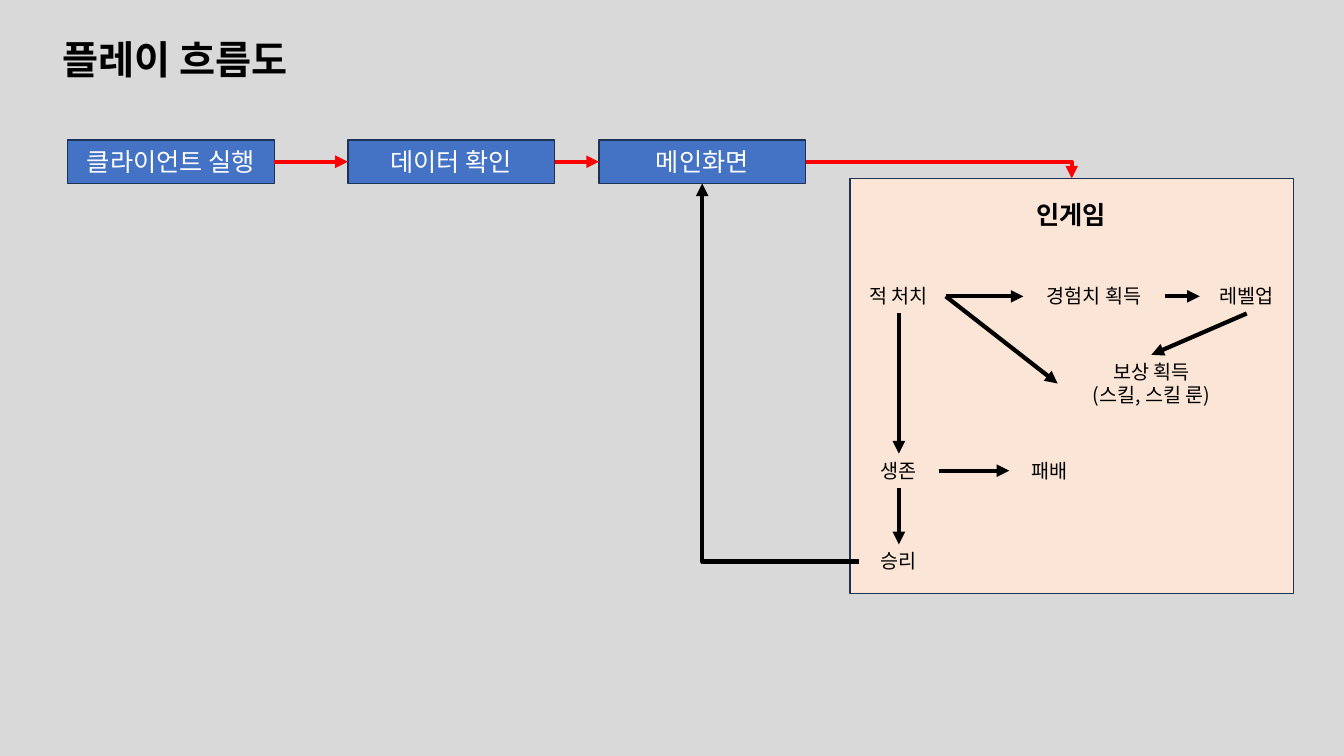
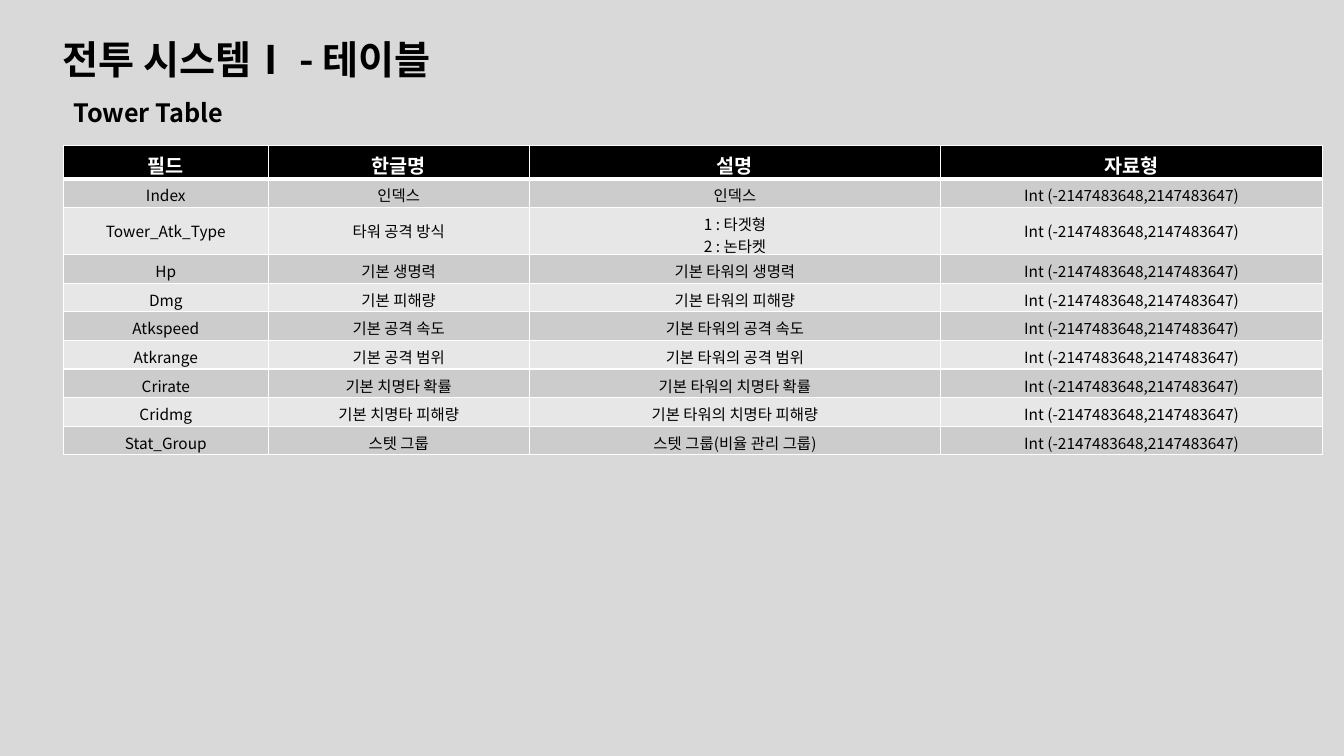
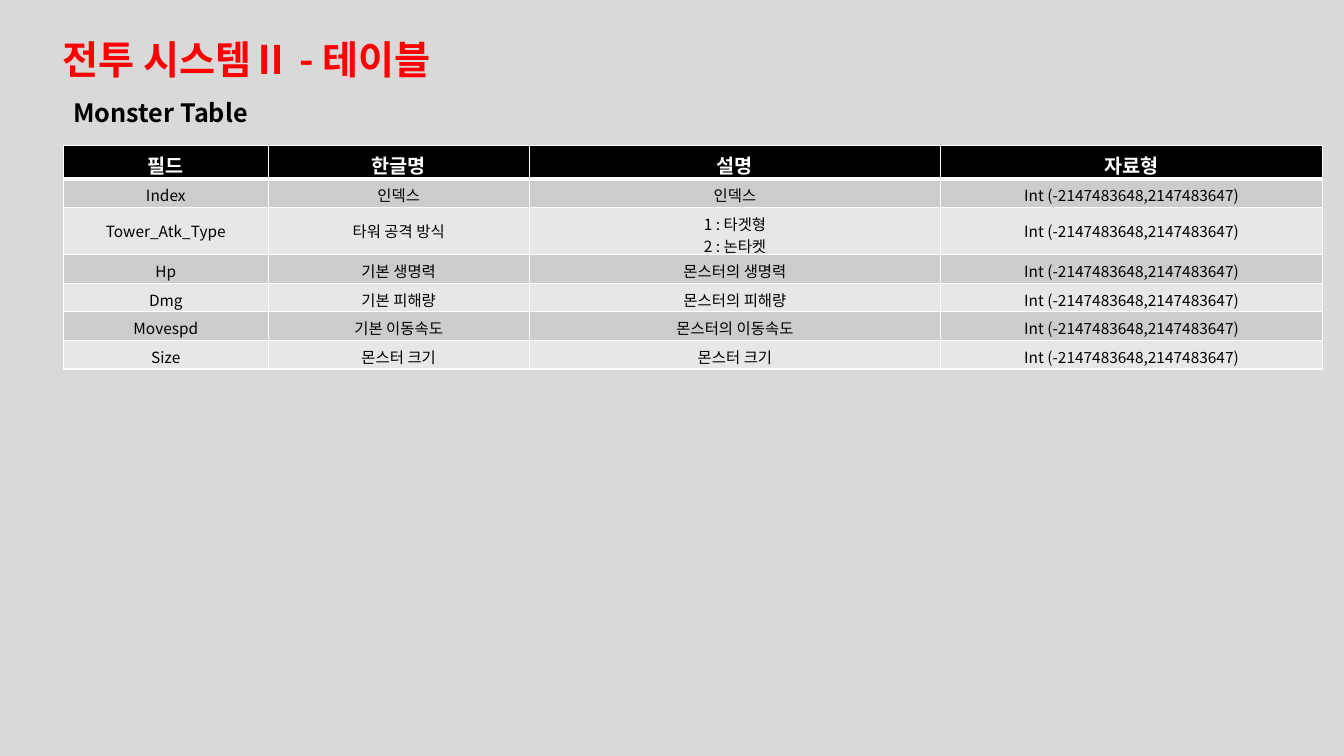
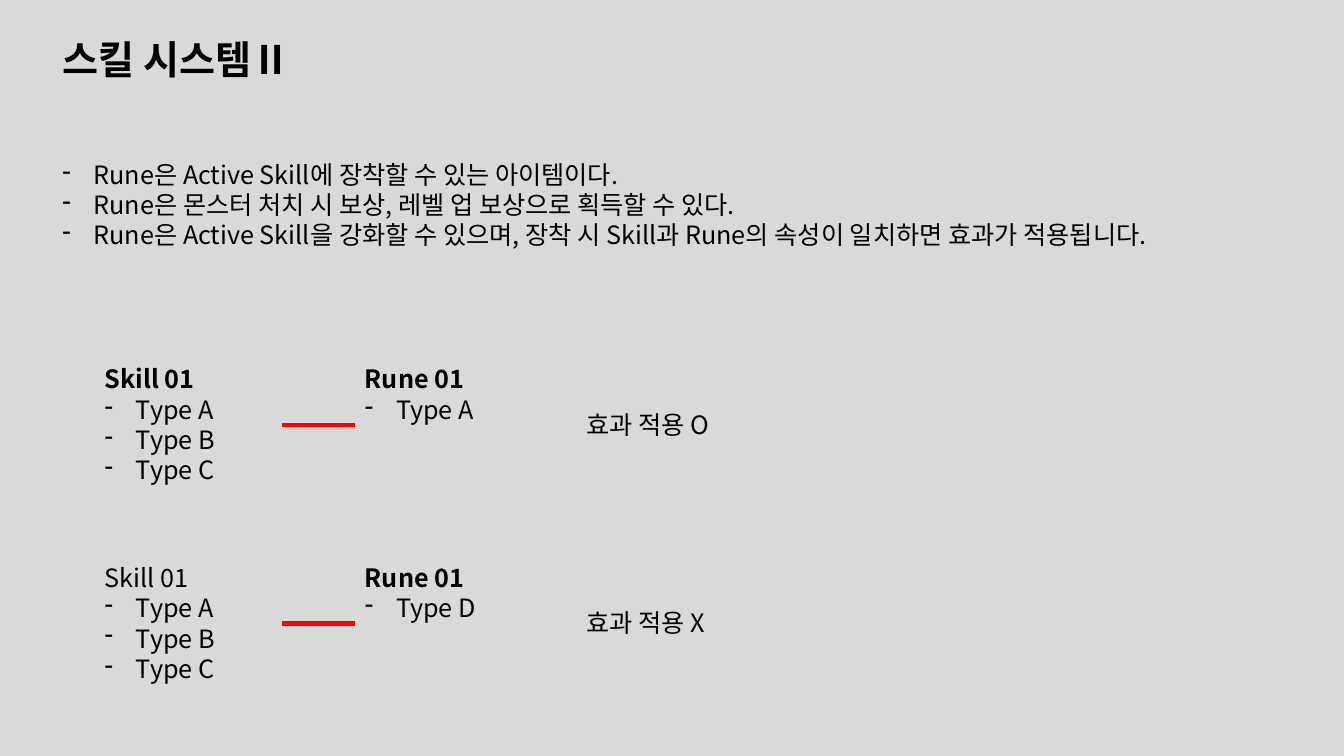
import pptx
import pptx.dml.color
import pptx.enum.shapes
import pptx.enum.text
import pptx.oxml
import pptx.oxml.ns
import pptx.util
import lxml.etree

Inches = pptx.util.Inches
Pt = pptx.util.Pt
ALIGN = pptx.enum.text.PP_ALIGN
ANCHOR = pptx.enum.text.MSO_ANCHOR
CONNECTOR = pptx.enum.shapes.MSO_CONNECTOR
TOP, LEFT, BOTTOM, RIGHT = range(4)

FONT = "Noto Sans CJK KR"
BLACK, WHITE, RED = "000000", "FFFFFF", "FF0000"
BACKGROUND, NAVY, BLUE, PEACH = "D9D9D9", "1E3256", "4472C4", "FBE5D6"
BANDS = ("CCCCCC", "E7E7E7")
INT = "Int (-2147483648,2147483647)"
HEADERS = ("필드", "한글명", "설명", "자료형")
COMMON_ROWS = [
    ("Index", "인덱스", "인덱스"),
    ("Tower_Atk_Type", "타워 공격 방식", "1 : 타겟형\n2 : 논타켓"),
]
TOWER_ROWS = COMMON_ROWS + [
    ("Hp", "기본 생명력", "기본 타워의 생명력"),
    ("Dmg", "기본 피해량", "기본 타워의 피해량"),
    ("Atkspeed", "기본 공격 속도", "기본 타워의 공격 속도"),
    ("Atkrange", "기본 공격 범위", "기본 타워의 공격 범위"),
    ("Crirate", "기본 치명타 확률", "기본 타워의 치명타 확률"),
    ("Cridmg", "기본 치명타 피해량", "기본 타워의 치명타 피해량"),
    ("Stat_Group", "스텟 그룹", "스텟 그룹(비율 관리 그룹)"),
]
MONSTER_ROWS = COMMON_ROWS + [
    ("Hp", "기본 생명력", "몬스터의 생명력"),
    ("Dmg", "기본 피해량", "몬스터의 피해량"),
    ("Movespd", "기본 이동속도", "몬스터의 이동속도"),
    ("Size", "몬스터 크기", "몬스터 크기"),
]


def rgb(value):
    return pptx.dml.color.RGBColor.from_string(value)


def add_xml(parent, tag, **attributes):
    return lxml.etree.SubElement(parent, pptx.oxml.ns.qn(tag), **attributes)


class Deck:
    """Holds the presentation style and the current slide."""

    def __init__(self):
        self.prs = pptx.Presentation()
        self.prs.slide_width = Inches(13.33)
        self.prs.slide_height = Inches(7.5)

    def slide(self, title, color=BLACK):
        self.s = self.prs.slides.add_slide(self.prs.slide_layouts[6])
        fill = self.s.background.fill
        fill.solid()
        fill.fore_color.rgb = rgb(BACKGROUND)
        self.text((0.52, 0.3, 6.67, 0.57), [title], 28, color, bold=True)

    def set_lines(self, tf, lines, size, color=BLACK, bold=False, align=ALIGN.LEFT):
        for i, line in enumerate(lines):
            p = tf.add_paragraph() if i else tf.paragraphs[0]
            bullet = line.startswith("- ")
            p.text = line.removeprefix("- ")
            p.alignment = align
            if bullet:
                pPr = p._p.get_or_add_pPr()
                pPr.set("marL", str(Inches(0.31)))
                pPr.set("indent", str(-Inches(0.31)))
                add_xml(pPr, "a:buChar", char="-")
            p.font.size = Pt(size)
            p.font.bold = bold and not bullet
            p.font.color.rgb = rgb(color)
            p.font.name = FONT
            add_xml(p._p.pPr.find(pptx.oxml.ns.qn("a:defRPr")), "a:ea", typeface=FONT)

    def text(self, at, lines, size=18, color=BLACK, bold=False, align=ALIGN.LEFT, grow=True):
        sp = self.s.shapes.add_textbox(*map(Inches, at))
        tf = sp.text_frame
        tf.word_wrap = True
        if grow:
            tf.auto_size = pptx.enum.text.MSO_AUTO_SIZE.SHAPE_TO_FIT_TEXT
        self.set_lines(tf, lines, size, color, bold, align)
        return sp

    def box(self, at, fill, label=None):
        rect = pptx.enum.shapes.MSO_SHAPE.RECTANGLE
        sp = self.s.shapes.add_shape(rect, *map(Inches, at))
        sp.shadow.inherit = False
        sp.fill.solid()
        sp.fill.fore_color.rgb = rgb(fill)
        sp.line.color.rgb = rgb(NAVY)
        sp.line.width = Pt(1)
        if label:
            sp.text_frame.vertical_anchor = ANCHOR.MIDDLE
            self.set_lines(sp.text_frame, [label], 18, WHITE, align=ALIGN.CENTER)
        return sp

    def connect(self, start, start_side, end, end_side, color=BLACK, bent=False, arrow=True):
        kind = CONNECTOR.ELBOW if bent else CONNECTOR.STRAIGHT
        cxn = self.s.shapes.add_connector(kind, 0, 0, 0, 0)
        cxn.begin_connect(start, start_side)
        cxn.end_connect(end, end_side)
        cxn.line.color.rgb = rgb(color)
        cxn.line.width = Pt(3)
        spPr = cxn._element.spPr
        if bent:
            spPr.find(pptx.oxml.ns.qn("a:prstGeom")).set("prst", "bentConnector2")
        if arrow:
            add_xml(spPr.find(pptx.oxml.ns.qn("a:ln")), "a:tailEnd", type="triangle")
        add_xml(spPr, "a:effectLst")

    def cell(self, cell, text, fill, size, color, bold, top, bottom):
        tcPr = cell._tc.get_or_add_tcPr()
        for side, width in zip("LRTB", (1, 1, top, bottom)):
            ln = add_xml(tcPr, f"a:ln{side}", w=str(Pt(width)))
            add_xml(add_xml(ln, "a:solidFill"), "a:srgbClr", val=WHITE)
        cell.fill.solid()
        cell.fill.fore_color.rgb = rgb(fill)
        cell.vertical_anchor = ANCHOR.MIDDLE
        self.set_lines(cell.text_frame, text.split("\n"), size, color, bold, ALIGN.CENTER)

    def table(self, caption, fields):
        self.text((0.63, 0.92, 2.61, 0.4), [caption], bold=True)
        rows = [HEADERS] + [(*field, INT) for field in fields]
        widths = (2.03, 2.59, 4.08, 3.79)
        at = (0.63, 1.44, sum(widths), 0.28 * len(rows))
        table = self.s.shapes.add_table(len(rows), len(widths), *map(Inches, at)).table
        table.horz_banding = False
        for column, width in zip(table.columns, widths):
            column.width = Inches(width)
        for i, row in enumerate(rows):
            if i == 0:
                style = (BLACK, 14, WHITE, True, 1, 3)
            else:
                style = (BANDS[(i - 1) % 2], 11, BLACK, False, 3 if i == 1 else 1, 1)
            for j, value in enumerate(row):
                self.cell(table.cell(i, j), value, *style)


def flow_slide(deck):
    deck.slide("플레이 흐름도")
    game = deck.box((8.43, 1.77, 4.4, 4.12), PEACH)
    launch, check, main_menu = [
        deck.box((x, 1.39, 2.05, 0.43), BLUE, label)
        for x, label in ((0.67, "클라이언트 실행"), (3.45, "데이터 확인"), (5.94, "메인화면"))
    ]
    deck.text((9.43, 1.93, 2.39, 0.4), ["인게임"], bold=True, align=ALIGN.CENTER)
    steps = (
        (8.45, 2.77, 0.93, 0.34, "적 처치"),
        (10.15, 2.77, 1.4, 0.34, "경험치 획득"),
        (11.9, 2.77, 0.93, 0.34, "레벨업"),
        (10.49, 3.52, 1.86, 0.57, "보상 획득\n(스킬, 스킬 룬)"),
        (8.52, 4.5, 0.79, 0.34, "생존"),
        (8.52, 5.4, 0.79, 0.34, "승리"),
        (10.01, 4.5, 0.79, 0.34, "패배"),
    )
    kill, exp, level_up, reward, survive, win, lose = [
        deck.text(at, [label], 14, align=ALIGN.CENTER) for *at, label in steps
    ]
    deck.connect(launch, RIGHT, check, LEFT, RED)
    deck.connect(check, RIGHT, main_menu, LEFT, RED)
    deck.connect(main_menu, RIGHT, game, TOP, RED, bent=True)
    deck.connect(win, LEFT, main_menu, BOTTOM, bent=True)
    for start, end in ((kill, survive), (survive, win), (level_up, reward)):
        deck.connect(start, BOTTOM, end, TOP)
    for start, end in ((kill, exp), (kill, reward), (survive, lose), (exp, level_up)):
        deck.connect(start, RIGHT, end, LEFT)


def rune_slide(deck):
    deck.slide("스킬 시스템Ⅱ")
    deck.text((0.52, 1.53, 12.44, 1.01), [
        "- Rune은 Active Skill에 장착할 수 있는 아이템이다.",
        "- Rune은 몬스터 처치 시 보상, 레벨 업 보상으로 획득할 수 있다.",
        "- Rune은 Active Skill을 강화할 수 있으며, 장착 시 Skill과 Rune의 속성이 일치하면 효과가 적용됩니다.",
    ])
    skill_lines = ["Skill 01", "- Type A", "- Type B", "- Type C"]
    for y, rune_type, result, bold in ((3.56, "A", "O", True), (5.53, "D", "X", False)):
        skill = deck.text((0.94, y, 1.86, 1.31), skill_lines, bold=bold)
        rune_lines = ["Rune 01", f"- Type {rune_type}"]
        rune = deck.text((3.52, y, 1.86, 1.31), rune_lines, bold=True, grow=False)
        deck.connect(skill, RIGHT, rune, LEFT, RED, arrow=False)
        deck.text((5.72, y + 0.45, 1.86, 0.4), [f"효과 적용 {result}"])


def main():
    deck = Deck()
    flow_slide(deck)
    deck.slide("전투 시스템Ⅰ - 테이블")
    deck.table("Tower Table", TOWER_ROWS)
    deck.slide("전투 시스템Ⅱ - 테이블", RED)
    deck.table("Monster Table", MONSTER_ROWS)
    rune_slide(deck)
    deck.prs.save("out.pptx")


if __name__ == "__main__":
    main()
